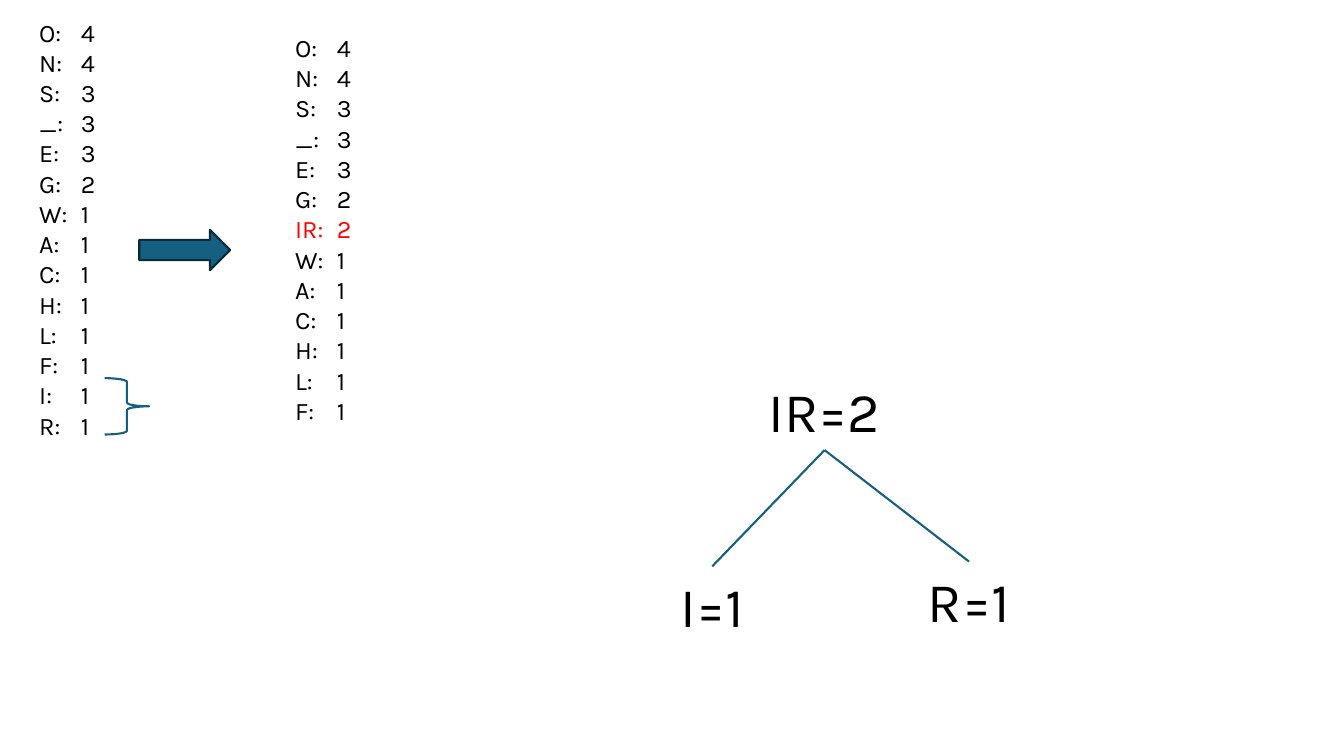
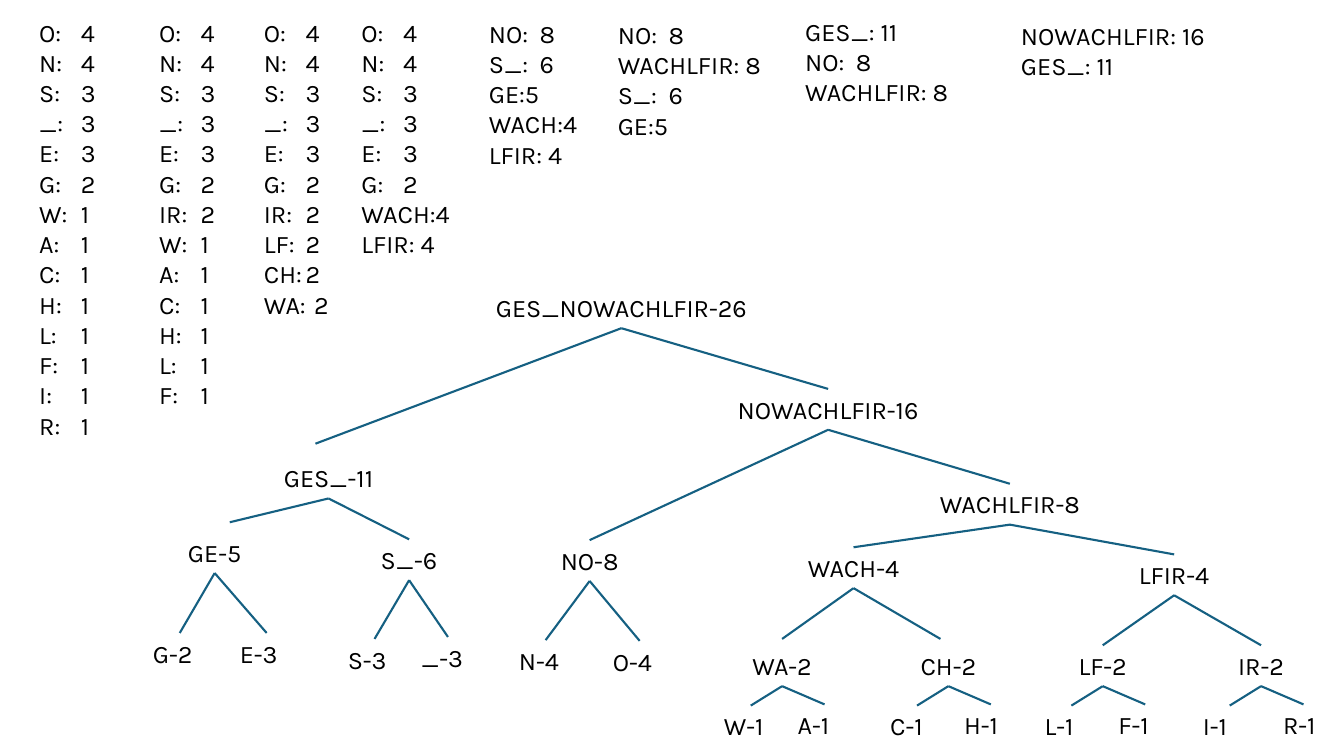
import pptx
import pptx.dml.color
import pptx.enum.shapes
import pptx.enum.text
import pptx.oxml.ns
import pptx.util
from lxml import etree

Cm = pptx.util.Cm
Pt = pptx.util.Pt
SHAPE = pptx.enum.shapes.MSO_SHAPE
ALIGN = pptx.enum.text.PP_ALIGN
BOTTOM, TOP = 2, 0

# Symbol counts shared by the lists
FREQUENT = ["O: 4", "N: 4", "S: 3", "_: 3", "E: 3", "G: 2"]
SINGLES = ["W: 1", "A: 1", "C: 1", "H: 1", "L: 1", "F: 1"]
ALL_SYMBOLS = FREQUENT + SINGLES + ["I: 1", "R: 1"]


def rgb(value):
    return pptx.dml.color.RGBColor.from_string(value)


def sub(parent, tag, **attributes):
    return etree.SubElement(parent, pptx.oxml.ns.qn(tag), **attributes)


class Deck:
    FONT = "Karla"
    INK, ACCENT, OUTLINE, HIGHLIGHT = "000000", "156082", "092A39", "FF0000"
    LINE_WIDTH = 1.5
    BODY, LARGE = 18, 40
    NODE_WIDTH, LEAF_WIDTH = 3.61, 1.85

    def __init__(self):
        self.prs = pptx.Presentation()
        self.prs.slide_width, self.prs.slide_height = Cm(33.87), Cm(19.05)
        self.slide = None

    def new_slide(self):
        self.slide = self.prs.slides.add_slide(self.prs.slide_layouts[6])

    def text(self, rows, left, top, width, size=BODY, align=ALIGN.LEFT,
             tab=None, highlight=None):
        height = 0.26 + 0.77 * len(rows) * size / self.BODY
        box = self.slide.shapes.add_textbox(Cm(left), Cm(top), Cm(width), Cm(height))
        frame = box.text_frame
        frame.word_wrap = True
        frame.auto_size = pptx.enum.text.MSO_AUTO_SIZE.SHAPE_TO_FIT_TEXT
        for number, row in enumerate(rows):
            paragraph = frame.paragraphs[0] if number == 0 else frame.add_paragraph()
            paragraph.alignment = align
            symbol, gap, count = row.partition(": ")
            # Short symbols line their counts up at a tab stop
            if tab and gap and len(symbol) <= 2:
                stops = sub(paragraph._p.get_or_add_pPr(), "a:tabLst")
                sub(stops, "a:tab", pos=str(int(Cm(tab))), algn="l")
                paragraph.text = f"{symbol}:\t{count}"
            else:
                paragraph.text = row
            font = paragraph.font
            font.name, font.size = self.FONT, Pt(size)
            font.color.rgb = rgb(self.HIGHLIGHT if row == highlight else self.INK)
        return box

    def counts(self, rows, left, top=0.3, width=NODE_WIDTH, tab=1.05, highlight=None):
        return self.text(rows, left, top, width, tab=tab, highlight=highlight)

    def node(self, label, center, top, parent=None, width=NODE_WIDTH,
             size=BODY, end=None):
        """Tree node; its branch meets the top centre unless end is given."""
        align = ALIGN.LEFT if width == self.LEAF_WIDTH else ALIGN.CENTER
        box = self.text([label], center - width / 2, top, width, size, align)
        if parent is not None:
            self.branch(parent, box, end or (center, top))
            
        return box

    def branch(self, parent, child, end):
        x, y = Cm(end[0]), Cm(end[1])
        line = self.slide.shapes.add_connector(
            pptx.enum.shapes.MSO_CONNECTOR.STRAIGHT, x, y, x, y)
        line.begin_connect(parent, BOTTOM)
        if abs(x - child.left - child.width // 2) < 9 and y == child.top:
            line.end_connect(child, TOP)
        self.stroke(line, self.ACCENT)
        sub(line._element.spPr, "a:effectLst")

    def shape(self, kind, left, top, width, height, line, fill=None):
        shape = self.slide.shapes.add_shape(
            kind, Cm(left), Cm(top), Cm(width), Cm(height))
        shape.shadow.inherit = False
        if fill:
            shape.fill.solid()
            shape.fill.fore_color.rgb = rgb(fill)
        else:
            shape.fill.background()
        self.stroke(shape, line)

    def stroke(self, item, color):
        item.line.color.rgb = rgb(color)
        item.line.width = Pt(self.LINE_WIDTH)


def first_merge(deck):
    deck.new_slide()
    # Counts before and after merging I and R
    deck.counts(ALL_SYMBOLS, 0.74)
    deck.counts(FREQUENT + ["IR: 2"] + SINGLES, 7.19, 0.69, highlight="IR: 2")
    deck.shape(SHAPE.RIGHT_ARROW, 3.51, 5.79, 2.29, 1.02, deck.OUTLINE, deck.ACCENT)
    deck.shape(SHAPE.RIGHT_BRACE, 2.64, 9.53, 1.12, 1.42, deck.ACCENT)
    # First subtree
    merged = deck.node("IR=2", 20.78, 9.37, width=8.74, size=deck.LARGE)
    for label, center, top in (("I=1", 17.95, 14.27), ("R=1", 24.42, 14.15)):
        deck.node(label, center, top, merged, 4.5, deck.LARGE)


def full_tree(deck):
    deck.new_slide()
    # Counts after each merging step
    deck.counts(ALL_SYMBOLS, 0.74)
    deck.counts(FREQUENT + ["IR: 2"] + SINGLES, 3.76)
    deck.counts(FREQUENT + ["IR: 2", "LF: 2", "CH: 2", "WA: 2"], 6.4)
    deck.counts(FREQUENT + ["WACH:4", "LFIR: 4"], 8.86)
    deck.counts(["NO: 8", "S_: 6", "GE:5", "WACH:4", "LFIR: 4"], 12.07, 0.33, tab=1.28)
    deck.counts(["NO: 8", "WACHLFIR: 8", "S_: 6", "GE:5"], 15.32, 0.36, 5.18, 1.28)
    deck.counts(["GES_: 11", "NO: 8", "WACHLFIR: 8"], 20.04, 0.28, 5.18, 1.28)
    deck.counts(["NOWACHLFIR: 16", "GES_: 11"], 25.48, 0.38, 6.6)

    # Upper tree
    root = deck.node("GES_NOWACHLFIR-26", 15.66, 7.24, width=8.38)
    ges = deck.node("GES_-11", 8.28, 11.53, root, 4.98, end=(7.95, 11.18))
    nowachlfir = deck.node("NOWACHLFIR-16", 20.87, 9.8, root, 5.64)
    wachlfir = deck.node("WACHLFIR-8", 25.45, 12.19, nowachlfir, 4.98)
    ge = deck.node("GE-5", 5.41, 13.41, ges, end=(5.79, 13.16))
    s_ = deck.node("S_-6", 10.31, 13.59, ges)
    no = deck.node("NO-8", 14.86, 13.61, nowachlfir)
    wach = deck.node("WACH-4", 21.51, 13.79, wachlfir)
    lfir = deck.node("LFIR-4", 29.59, 13.97, wachlfir)

    # Leaves of the frequent symbols
    for label, center, top, parent in (
            ("G-2", 4.53, 15.95, ge), ("E-3", 6.72, 15.95, ge),
            ("S-3", 9.44, 16.1, s_), ("_-3", 11.29, 16.05, s_),
            ("N-4", 13.75, 16.13, no), ("O-4", 16.12, 16.15, no)):
        deck.node(label, center, top, parent, deck.LEAF_WIDTH)

    # Pairs of single symbols, each with its two leaves
    for pair, center, parent, end in (
            ("WA", 19.71, wach, (19.71, 16.1)), ("CH", 23.9, wach, (23.7, 16.1)),
            ("LF", 27.79, lfir, None), ("IR", 31.78, lfir, None)):
        box = deck.node(f"{pair}-2", center, 16.26, parent, end=end)
        left, right = center - 0.79, center + 1.07
        deck.node(f"{pair[0]}-1", left, 17.78, box, deck.LEAF_WIDTH)
        shift = 0.16 if pair == "IR" else 0
        deck.node(f"{pair[1]}-1", right + shift, 17.75, box, deck.LEAF_WIDTH,
                  end=(right, 17.75))


def main():
    deck = Deck()
    first_merge(deck)
    full_tree(deck)
    deck.prs.save("out.pptx")


if __name__ == "__main__":
    main()
